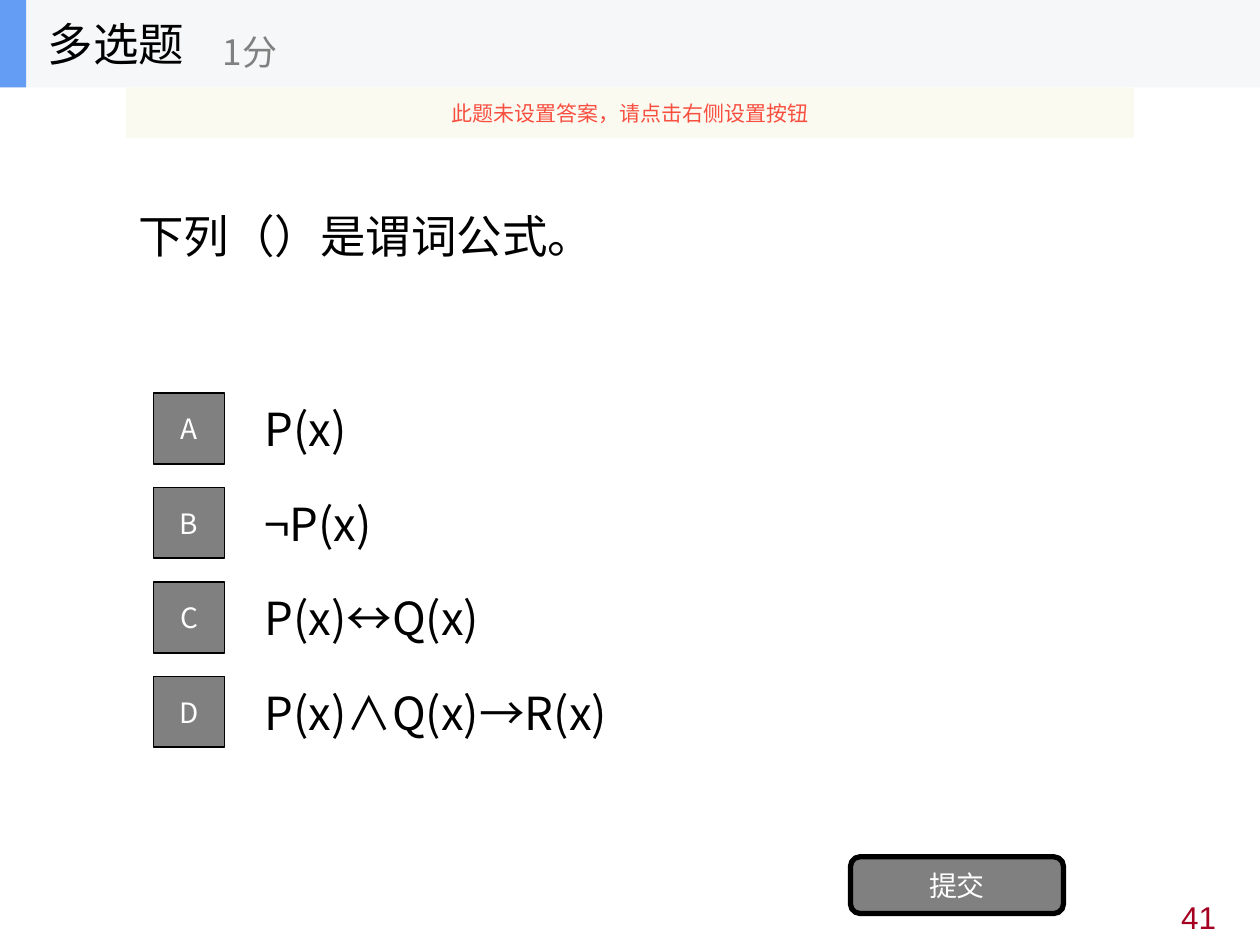
from dataclasses import dataclass

from lxml.etree import SubElement
from pptx import Presentation
from pptx.dml.color import RGBColor
from pptx.enum.shapes import MSO_SHAPE
from pptx.enum.text import MSO_ANCHOR, PP_ALIGN
from pptx.oxml.ns import qn
from pptx.util import Pt


@dataclass(frozen=True)
class Theme:
    cjk: str = "Noto Sans CJK SC"
    latin: str = "Arial"
    black: str = "000000"
    white: str = "FFFFFF"
    gray: str = "808080"
    blue: str = "639EF4"
    band: str = "F6F7F8"
    cream: str = "FBFAEF"
    alert: str = "F84F41"
    wine: str = "A50021"
    large: int = 26
    score: int = 20
    page: int = 18
    label: int = 16
    small: int = 12


THEME = Theme()


def write(shape, text, size, color, align=PP_ALIGN.LEFT,
          anchor=MSO_ANCHOR.MIDDLE, face=THEME.cjk):
    frame = shape.text_frame
    frame.word_wrap = True
    frame.vertical_anchor = anchor
    para = frame.paragraphs[0]
    para.alignment = align
    run = para.add_run()
    run.text = text
    font = run.font
    font.size = Pt(size)
    font.name = face
    font.color.rgb = RGBColor.from_string(color)
    SubElement(run._r.get_or_add_rPr(), qn("a:ea"), typeface=face)


def add_text(shapes, box, text, size, color, **style):
    shape = shapes.add_textbox(*map(Pt, box))
    write(shape, text, size, color, **style)


def add_box(shapes, box, fill, line=0, kind=MSO_SHAPE.RECTANGLE):
    shape = shapes.add_shape(kind, *map(Pt, box))
    shape.shadow.inherit = False
    shape.fill.solid()
    shape.fill.fore_color.rgb = RGBColor.from_string(fill)
    if line:
        shape.line.color.rgb = RGBColor.from_string(THEME.black)
        shape.line.width = Pt(line)
    else:
        shape.line.fill.background()
    return shape


def add_header(slide, box, title, score):
    left, top, width, height = box
    shapes = slide.shapes.add_group_shape().shapes
    add_box(shapes, box, THEME.band)
    add_box(shapes, (left, top, 15, height), THEME.blue)
    add_text(shapes, (left + 20.3, top, 150, height), title,
             THEME.large, THEME.black)
    add_text(shapes, (left + 120.3, top + 9, 180, height - 9), score,
             THEME.score, THEME.gray)


def add_notice(slide, box, text):
    shape = add_box(slide.shapes, box, THEME.cream)
    color = shape.fill._xPr.find(qn("a:solidFill"))[0]
    SubElement(color, qn("a:alpha"), val="90000")
    write(shape, text, THEME.small, THEME.alert, PP_ALIGN.CENTER)


def add_choices(slide, box, choices):
    left, top, width, height = box
    pitch = height / len(choices)
    row, side, indent = 50.4, 40.5, 72
    for index, (mark, text) in enumerate(choices):
        y = top + index * pitch
        add_text(slide.shapes, (left + indent, y, width - indent, row),
                 text, THEME.large, THEME.black)
        inset = (row - side) / 2
        tile = add_box(slide.shapes,
                       (left + (indent - side) / 2, y + inset, side, side),
                       THEME.gray, 1)
        write(tile, mark, THEME.label, THEME.white, PP_ALIGN.CENTER)


def add_button(slide, box, text):
    shape = add_box(slide.shapes, box, THEME.gray, 3,
                    MSO_SHAPE.ROUNDED_RECTANGLE)
    write(shape, text, THEME.label, THEME.white, PP_ALIGN.CENTER)


def main():
    deck = Presentation()
    deck.slide_width, deck.slide_height = Pt(720), Pt(540)
    slide = deck.slides.add_slide(deck.slide_layouts[6])
    add_text(slide.shapes, (545.8, 509.8, 156.2, 28), "41", THEME.page,
             THEME.wine, align=PP_ALIGN.RIGHT, anchor=MSO_ANCHOR.TOP,
             face=THEME.latin)
    add_text(slide.shapes, (72, 50, 576, 168.5), "下列（）是谓词公式。",
             THEME.large, THEME.black)
    add_choices(slide, (72, 219.6, 576, 216), [
        ("A", "P(x)"),
        ("B", "¬P(x)"),
        ("C", "P(x)↔Q(x)"),
        ("D", "P(x)∧Q(x)→R(x)"),
    ])
    add_button(slide, (486, 489.6, 121.7, 32.4), "提交")
    add_header(slide, (0, 0, 720, 50), "多选题", "1分")
    add_notice(slide, (72, 50, 576, 28.8),
               "此题未设置答案，请点击右侧设置按钮")
    deck.save("out.pptx")


if __name__ == "__main__":
    main()
